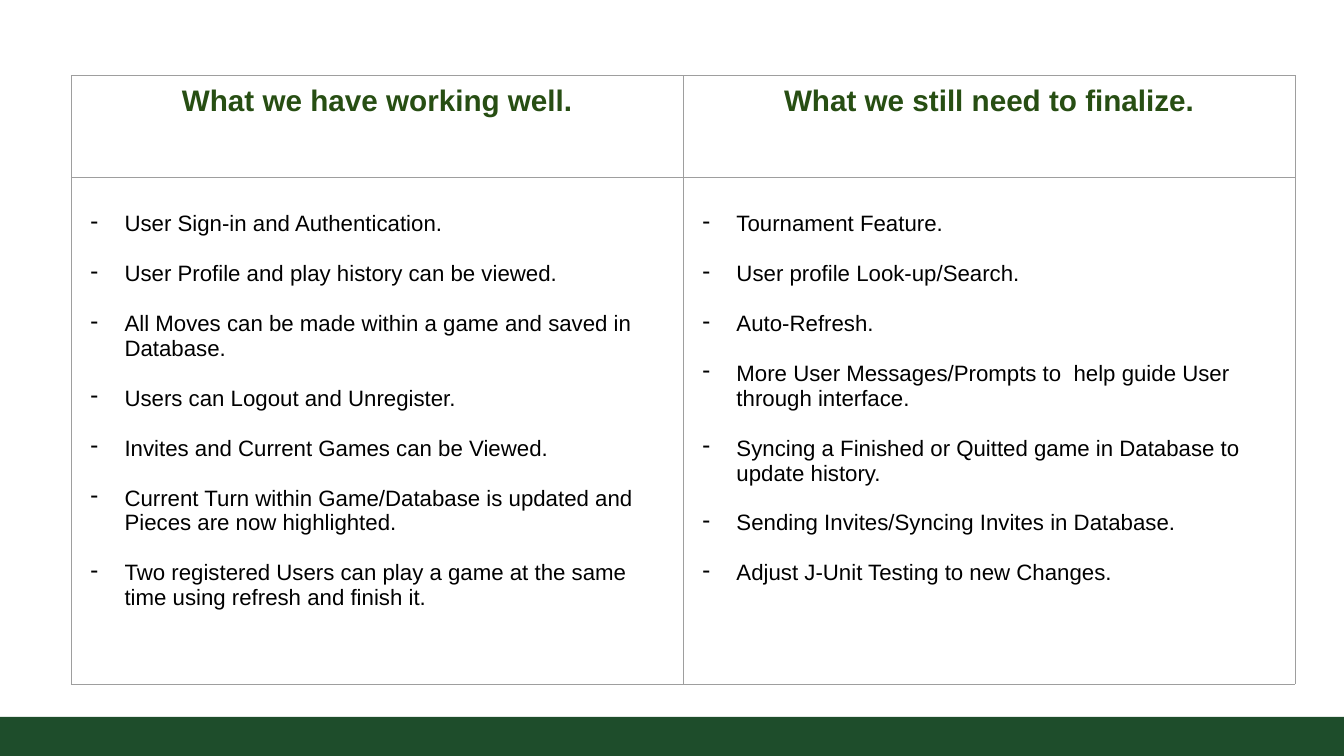
from lxml import etree
from pptx import Presentation
from pptx.dml.color import RGBColor
from pptx.enum import shapes, text
from pptx.oxml import ns
from pptx.util import Inches, Pt

BAND_GREEN = RGBColor(0x1E, 0x4D, 0x2B)
HEADING_GREEN = RGBColor(0x27, 0x4E, 0x13)
BLACK = RGBColor(0, 0, 0)
BORDER_GREY = RGBColor(0x9E, 0x9E, 0x9E)

COLUMNS = [
    ("What we have working well.", [
        "User Sign-in and Authentication.",
        "User Profile and play history can be viewed.",
        "All Moves can be made within a game and saved in Database.",
        "Users can Logout and Unregister.",
        "Invites and Current Games can be Viewed.",
        "Current Turn within Game/Database is updated and Pieces are now highlighted.",
        "Two registered Users can play a game at the same time using refresh and finish it.",
    ]),
    ("What we still need to finalize.", [
        "Tournament Feature.",
        "User profile Look-up/Search.",
        "Auto-Refresh.",
        "More User Messages/Prompts to  help guide User through interface.",
        "Syncing a Finished or Quitted game in Database to update history.",
        "Sending Invites/Syncing Invites in Database.",
        "Adjust J-Unit Testing to new Changes.",
    ]),
]


def style_cell(cell, top_margin):
    cell.margin_left = cell.margin_right = cell.margin_bottom = Inches(0.1)
    cell.margin_top = Inches(top_margin)
    properties = cell._tc.get_or_add_tcPr()
    for side in ("lnL", "lnR", "lnT", "lnB"):
        line = etree.SubElement(properties, ns.qn(f"a:{side}"), w=str(Pt(0.75)))
        fill = etree.SubElement(line, ns.qn("a:solidFill"))
        etree.SubElement(fill, ns.qn("a:srgbClr"), val=str(BORDER_GREY))
    cell.fill.background()


def style_font(font, size, color, bold):
    font.name = "Arial"
    font.size = Pt(size)
    font.color.rgb = color
    font.bold = bold


deck = Presentation()
deck.slide_width = Inches(15.11)
deck.slide_height = Inches(8.5)
page = deck.slides.add_slide(deck.slide_layouts[6])

band = page.shapes.add_shape(
    shapes.MSO_SHAPE.RECTANGLE, 0, Inches(8.06), deck.slide_width, Inches(0.44))
band.shadow.inherit = False
band.fill.solid()
band.fill.fore_color.rgb = BAND_GREEN
band.line.fill.background()

table = page.shapes.add_table(
    2, 2, Inches(0.8), Inches(0.85), Inches(13.76), Inches(6.84)).table
table.first_row = False
table.horz_banding = False
table.rows[0].height = Inches(1.15)
table.rows[1].height = Inches(5.69)

for index, (heading, items) in enumerate(COLUMNS):
    table.columns[index].width = Inches(6.88)

    heading_cell = table.cell(0, index)
    style_cell(heading_cell, 0.1)
    heading_cell.text = heading
    para = heading_cell.text_frame.paragraphs[0]
    para.alignment = text.PP_ALIGN.CENTER
    style_font(para.font, 24, HEADING_GREEN, True)

    list_cell = table.cell(1, index)
    style_cell(list_cell, 0.38)
    list_cell.text = "\n".join(items)
    for number, para in enumerate(list_cell.text_frame.paragraphs):
        para.space_before = Pt(20.2 if number else 0)
        style_font(para.font, 18, BLACK, False)
        layout = para._p.get_or_add_pPr()
        layout.set("marL", str(Inches(0.5)))
        layout.set("indent", str(Inches(-0.38)))
        bullet = etree.Element(ns.qn("a:buChar"), char="-")
        layout.insert_element_before(bullet, "a:tabLst", "a:defRPr", "a:extLst")

deck.save("out.pptx")
